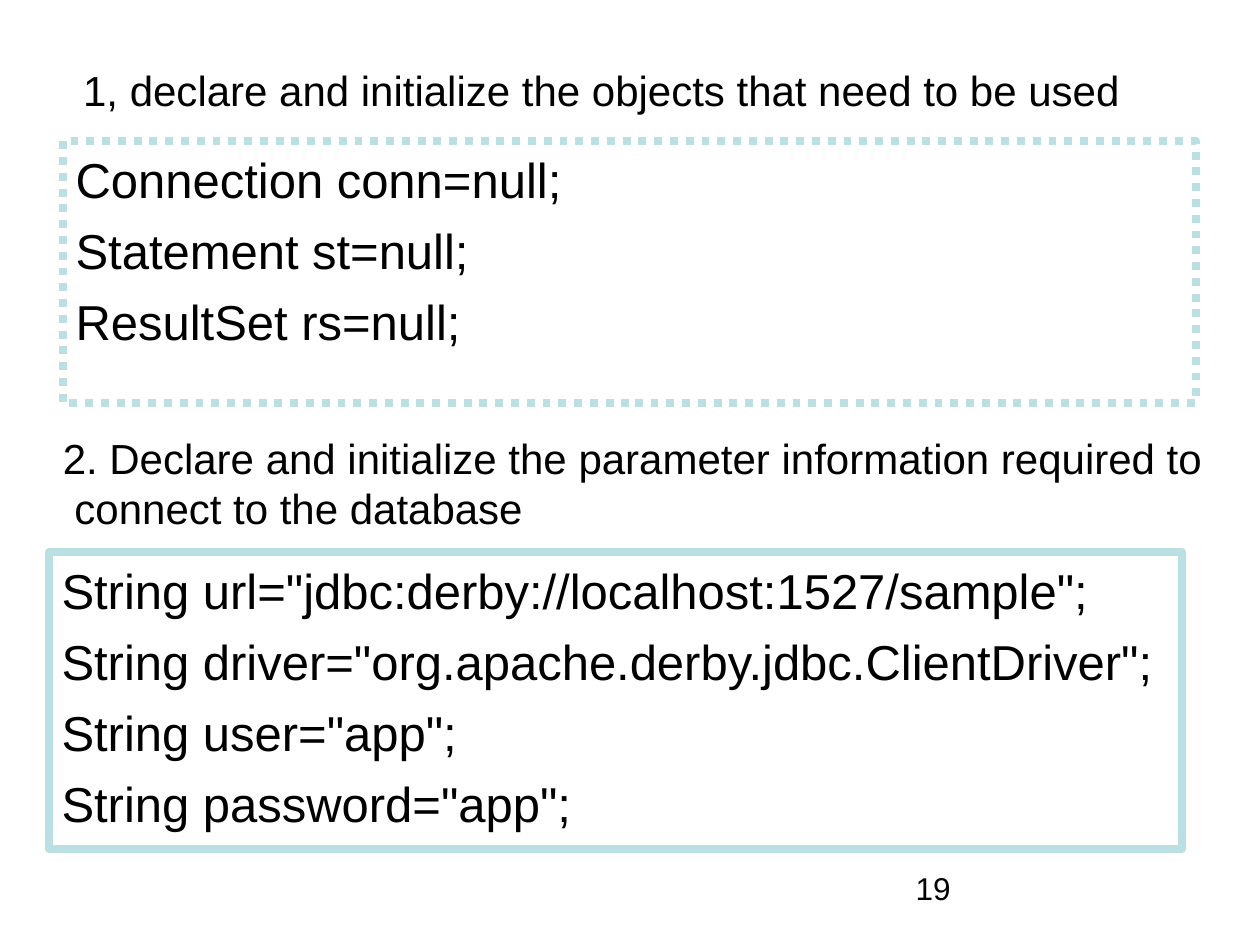
"""Build a slide on declaring JDBC objects and connection parameters."""
from dataclasses import dataclass

from lxml import etree
from pptx import Presentation
from pptx import util as u
from pptx.dml.color import RGBColor
from pptx.enum import dml, shapes, text
from pptx.oxml.ns import qn


@dataclass(frozen=True)
class Theme:
    font: str = "Arial"
    ink: RGBColor = RGBColor(0x00, 0x00, 0x00)
    border: RGBColor = RGBColor(0xBB, 0xE0, 0xE3)
    border_width: float = 4.5
    code_size: int = 28
    heading_size: int = 24
    number_size: int = 18
    line_factor: float = 1.2
    code_gap: int = 7


THEME = Theme()


def set_values(target, values):
    for name, value in values.items():
        setattr(target, name, value)


def place(shape, left, top, width, height):
    set_values(shape, {"left": u.Pt(left), "top": u.Pt(top),
                       "width": u.Pt(width), "height": u.Pt(height)})


def write_lines(shape, lines, size, gap=0, wrap=True, hanging=0):
    frame = shape.text_frame
    fit = text.MSO_AUTO_SIZE.NONE if wrap else text.MSO_AUTO_SIZE.SHAPE_TO_FIT_TEXT
    set_values(frame, {"text": "\n".join(lines), "word_wrap": wrap, "auto_size": fit,
                       "vertical_anchor": text.MSO_ANCHOR.TOP,
                       "margin_left": u.Pt(7.2), "margin_right": u.Pt(7.2),
                       "margin_top": u.Pt(5), "margin_bottom": u.Pt(3.6)})
    for index, paragraph in enumerate(frame.paragraphs):
        properties = paragraph._p.get_or_add_pPr()
        properties.set("marL", str(u.Pt(hanging if index else 0)))
        properties.set("indent", "0")
        etree.SubElement(properties, qn("a:buNone"))
        set_values(paragraph, {"alignment": text.PP_ALIGN.LEFT,
                               "line_spacing": u.Pt(size * THEME.line_factor),
                               "space_before": u.Pt(gap if index else 0),
                               "space_after": u.Pt(0)})
        for run in paragraph.runs:
            set_values(run.font, {"name": THEME.font, "size": u.Pt(size), "bold": False})
            run.font.color.rgb = THEME.ink


def format_code_box(shape, box, lines, dash=dml.MSO_LINE.SOLID):
    place(shape, *box)
    shape.fill.background()
    set_values(shape.line, {"width": u.Pt(THEME.border_width), "dash_style": dash})
    shape.line.color.rgb = THEME.border
    write_lines(shape, lines, THEME.code_size, gap=THEME.code_gap)


def add_label(slide, box, lines, size, **options):
    label = slide.shapes.add_textbox(*map(u.Pt, box))
    write_lines(label, lines, size, **options)


def add_code_box(slide, box, lines):
    shape = slide.shapes.add_shape(shapes.MSO_SHAPE.RECTANGLE, *map(u.Pt, box))
    shape.shadow.inherit = False
    format_code_box(shape, box, lines)


def main():
    presentation = Presentation()
    set_values(presentation, {"slide_width": u.Pt(720), "slide_height": u.Pt(540)})
    slide = presentation.slides.add_slide(presentation.slide_layouts[1])

    title = slide.shapes.title
    place(title, 40.3, 31.7, 607, 36)
    write_lines(title, ["1, declare and initialize the objects that need to be used"],
                THEME.heading_size, wrap=False)
    format_code_box(slide.placeholders[1], (36, 80.6, 647.3, 149.8),
                    ["Connection conn=null;", "Statement st=null;", "ResultSet rs=null;"],
                    dash=dml.MSO_LINE.ROUND_DOT)

    add_label(slide, (28.8, 241.9, 665.3, 64.8),
              ["2. Declare and initialize the parameter information required to",
               "connect to the database"],
              THEME.heading_size, wrap=False, hanging=6.7)
    add_code_box(slide, (28.1, 315.4, 647.3, 169.9),
                 ['String url="jdbc:derby://localhost:1527/sample";',
                  'String driver="org.apache.derby.jdbc.ClientDriver";',
                  'String user="app";',
                  'String password="app";'])
    add_label(slide, (516.2, 491.8, 167.8, 37.4), ["19"], THEME.number_size)

    presentation.save("out.pptx")


if __name__ == "__main__":
    main()
